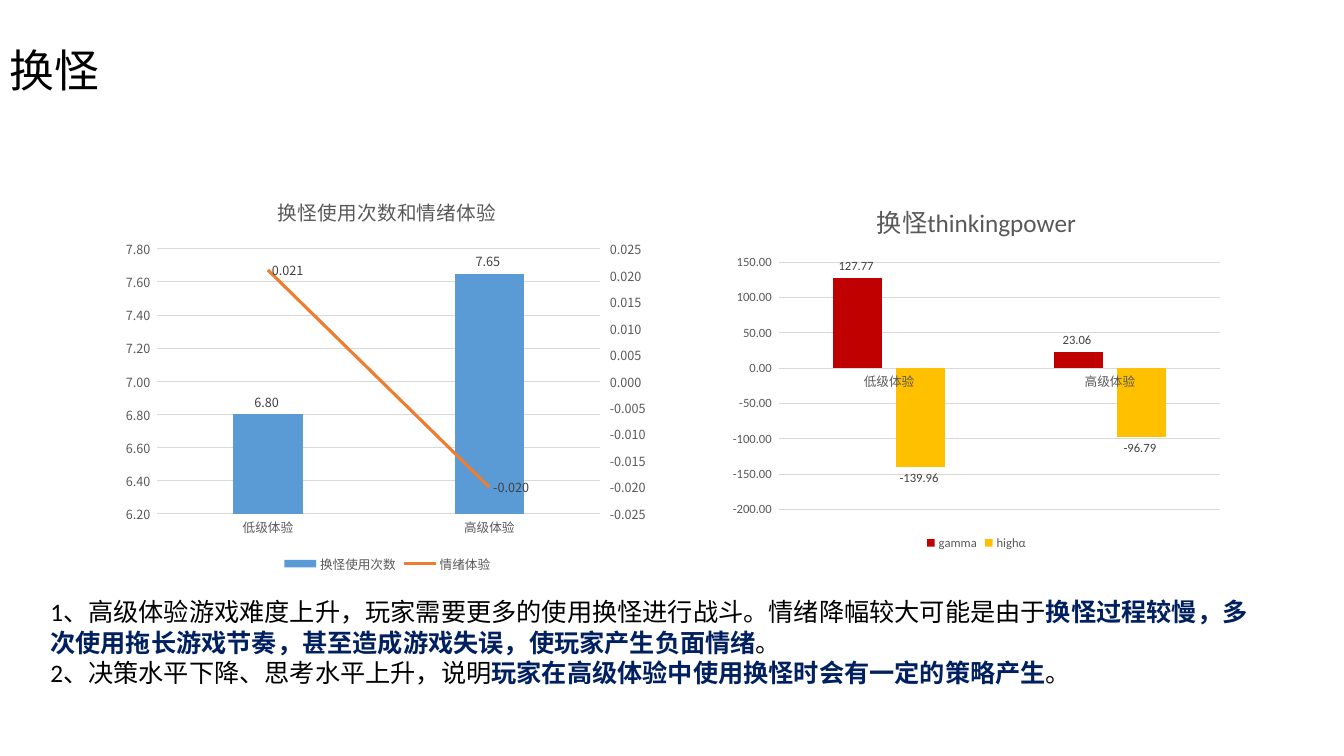
from dataclasses import dataclass
from lxml.etree import fromstring
from pptx import Presentation
from pptx.chart.data import CategoryChartData
from pptx.dml.color import RGBColor
from pptx.enum.chart import XL_CHART_TYPE, XL_LABEL_POSITION, XL_LEGEND_POSITION
from pptx.enum.chart import XL_MARKER_STYLE, XL_TICK_MARK
from pptx.enum.text import MSO_ANCHOR
from pptx.oxml.ns import nsdecls, qn
from pptx.util import Cm, Pt

COLORS = {
    "black": "000000", "navy": "002060", "axis": "595959", "label": "404040",
    "grid": "D9D9D9", "blue": "5B9BD5", "orange": "ED7D31", "red": "C00000",
    "gold": "FFC000",
}
CJK = "Noto Sans CJK SC"
LATIN = "Calibri"
CATEGORIES = ("低级体验", "高级体验")
TWO_PLACES = "0.00_ "
THREE_PLACES = "0.000_ "


@dataclass
class Series:
    """One data series and its colour."""
    name: str
    values: tuple
    color: str


@dataclass
class ChartBox:
    """A column chart: place in cm, heading, value scale and series."""
    box: tuple
    title: str
    title_size: int
    font: str
    scale: tuple
    series: tuple


EMOTION_CHART = ChartBox(
    (2.9, 4.5, 13.72, 10.03), "换怪使用次数和情绪体验", 14, CJK, (6.2, 7.8, 0.2),
    (Series("换怪使用次数", (6.8, 7.65), "blue"),
     Series("情绪体验", (0.021, -0.02), "orange")))
THINKING_CHART = ChartBox(
    (18.21, 4.6, 12.8, 9.37), "换怪thinkingpower", 18, LATIN, (-200, 150, 50),
    (Series("gamma", (127.77, 23.06), "red"),
     Series("highα", (-139.96, -96.79), "gold")))

FINDINGS = (
    ("1、高级体验游戏难度上升，玩家需要更多的使用换怪进行战斗。情绪降幅较大可能是由于",
     "换怪过程较慢，多次使用拖长游戏节奏，甚至造成游戏失误，使玩家产生负面情绪", "。"),
    ("2、决策水平下降、思考水平上升，说明",
     "玩家在高级体验中使用换怪时会有一定的策略产生", "。"),
)


def rgb(name):
    """Look up a colour by name."""
    return RGBColor.from_string(COLORS[name])


def set_font(font, name, size, color):
    """Set typeface, size and colour."""
    font.name, font.size = name, Pt(size)
    font.color.rgb = rgb(color)


def set_east_asian(element):
    """Use the CJK face for Chinese wherever a Latin face is set."""
    for latin in list(element.iter(qn("a:latin"))):
        latin.addnext(fromstring(f'<a:ea {nsdecls("a")} typeface="{CJK}"/>'))


def add_text(s, box):
    """Add a wrapping text box and return its frame."""
    tf = s.shapes.add_textbox(*map(Cm, box)).text_frame
    tf.word_wrap = True
    return tf


def set_labels(series, font, number_format, position):
    """Show the values of a series."""
    labels = series.data_labels
    labels.show_value = True
    labels.number_format, labels.number_format_is_linked = number_format, False
    labels.position = position
    set_font(labels.font, font, 9, "label")


def set_axes(chart, spec_box):
    """Style the category axis and the left value axis."""
    cat, val = chart.category_axis, chart.value_axis
    val.minimum_scale, val.maximum_scale, val.major_unit = spec_box.scale
    for axis in (cat, val):
        axis.major_tick_mark = axis.minor_tick_mark = XL_TICK_MARK.NONE
        set_font(axis.tick_labels.font, spec_box.font, 9, "axis")
    for line in (cat.format.line, val.major_gridlines.format.line):
        line.color.rgb, line.width = rgb("grid"), Pt(0.75)
    val.format.line.fill.background()
    labels = val.tick_labels
    labels.number_format, labels.number_format_is_linked = TWO_PLACES, False


def add_column_chart(s, spec_box):
    """Add a clustered column chart with title, legend and labels."""
    data = CategoryChartData()
    data.categories = CATEGORIES
    for series in spec_box.series:
        data.add_series(series.name, series.values)
    chart = s.shapes.add_chart(XL_CHART_TYPE.COLUMN_CLUSTERED,
                               *map(Cm, spec_box.box), data).chart
    set_font(chart.font, spec_box.font, 10, "black")
    p = chart.chart_title.text_frame.paragraphs[0]
    r = p.add_run()
    r.text = spec_box.title
    set_font(r.font, spec_box.font, spec_box.title_size, "axis")
    r.font.bold = False
    chart.chart_title.include_in_layout = False
    chart.has_legend = True
    chart.legend.position = XL_LEGEND_POSITION.BOTTOM
    chart.legend.include_in_layout = False
    set_font(chart.legend.font, spec_box.font, 9, "axis")
    set_axes(chart, spec_box)
    plot = chart.plots[0]
    plot.gap_width, plot.overlap, plot.vary_by_categories = 219, -27, False
    for series, item in zip(plot.series, spec_box.series):
        series.format.fill.solid()
        series.format.fill.fore_color.rgb = rgb(item.color)
        series.invert_if_negative = False
        set_labels(series, spec_box.font, TWO_PLACES, XL_LABEL_POSITION.OUTSIDE_END)
    return chart


def move_to_right_axis(chart, item, font):
    """Turn the last column series into a line on a right-hand axis."""
    bars = chart.element.find(".//" + qn("c:barChart"))
    ser = bars.findall(qn("c:ser"))[-1]
    for tag in ("c:invertIfNegative", "c:spPr", "c:dLbls"):
        ser.remove(ser.find(qn(tag)))
    ns = nsdecls("c", "a")
    lines = chart.element.makeelement(qn("c:lineChart"))
    for tag, value in (("grouping", "standard"), ("varyColors", "0"),
                       ("marker", "1"), ("axId", "501"), ("axId", "502")):
        lines.append(lines.makeelement(qn("c:" + tag), val=value))
    lines.insert(2, ser)
    bars.addnext(lines)
    last_axis = chart.element.findall(".//" + qn("c:valAx"))[-1]
    right_axis = chart.element.makeelement(qn("c:valAx"))
    axes = f'''<c:plotArea {ns}>
      <c:catAx><c:axId val="501"/>
        <c:scaling><c:orientation val="minMax"/></c:scaling>
        <c:delete val="1"/><c:axPos val="b"/><c:crossAx val="502"/></c:catAx>
      <c:valAx><c:axId val="502"/>
        <c:scaling><c:orientation val="minMax"/>
          <c:max val="0.025"/><c:min val="-0.025"/></c:scaling>
        <c:delete val="0"/><c:axPos val="r"/>
        <c:numFmt formatCode="{THREE_PLACES}" sourceLinked="0"/>
        <c:majorTickMark val="out"/><c:minorTickMark val="none"/>
        <c:tickLblPos val="nextTo"/>
        <c:spPr><a:ln><a:noFill/></a:ln></c:spPr>
        <c:txPr><a:bodyPr/><a:p><a:pPr><a:defRPr sz="900">
          <a:solidFill><a:srgbClr val="{COLORS['axis']}"/></a:solidFill>
          <a:latin typeface="{font}"/></a:defRPr></a:pPr></a:p></c:txPr>
        <c:crossAx val="501"/><c:crosses val="max"/>
        <c:majorUnit val="0.005"/></c:valAx></c:plotArea>'''
    for axis in reversed(list(fromstring(axes))):
        last_axis.addnext(axis)
    series = chart.plots[1].series[0]
    series.smooth = False
    series.marker.style = XL_MARKER_STYLE.NONE
    series.format.line.color.rgb = rgb(item.color)
    series.format.line.width = Pt(2.25)
    set_labels(series, font, THREE_PLACES, XL_LABEL_POSITION.RIGHT)


prs = Presentation()
prs.slide_width, prs.slide_height = Cm(33.87), Cm(19.05)
s = prs.slides.add_slide(prs.slide_layouts[6])

tf = add_text(s, (0, 0, 29.21, 3.68))
tf.vertical_anchor = MSO_ANCHOR.MIDDLE
p = tf.paragraphs[0]
p.text, p.line_spacing = "换怪", 0.9
set_font(p.font, CJK, 32, "black")

emotion = add_column_chart(s, EMOTION_CHART)
move_to_right_axis(emotion, EMOTION_CHART.series[1], CJK)
thinking = add_column_chart(s, THINKING_CHART)

tf = add_text(s, (1.02, 14.91, 30.71, 2.57))
for i, finding in enumerate(FINDINGS):
    p = tf.add_paragraph() if i else tf.paragraphs[0]
    p.font.name, p.font.size = LATIN, Pt(18)
    for text, strong in zip(finding, (False, True, False)):
        r = p.add_run()
        r.text, r.font.bold = text, strong
        r.font.color.rgb = rgb("navy" if strong else "black")

for element in (s.element, emotion.element, thinking.element):
    set_east_asian(element)
prs.save("out.pptx")
